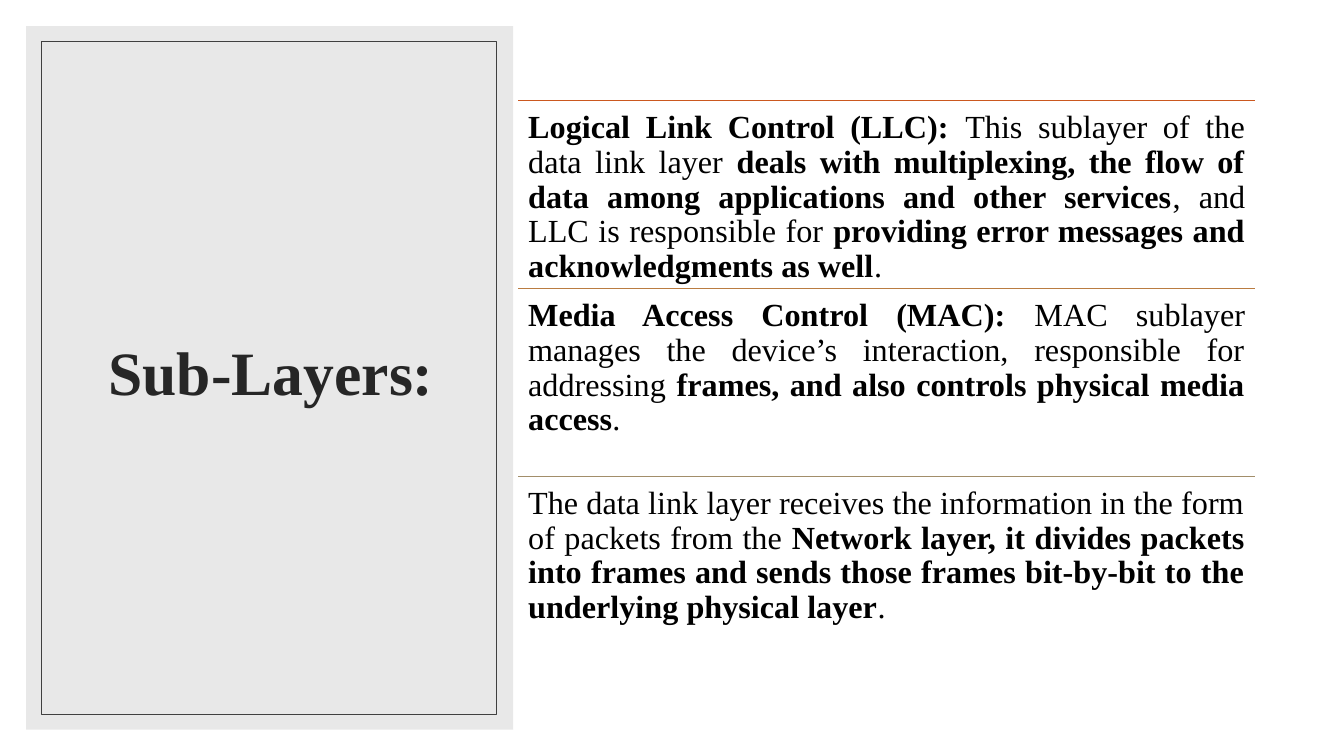
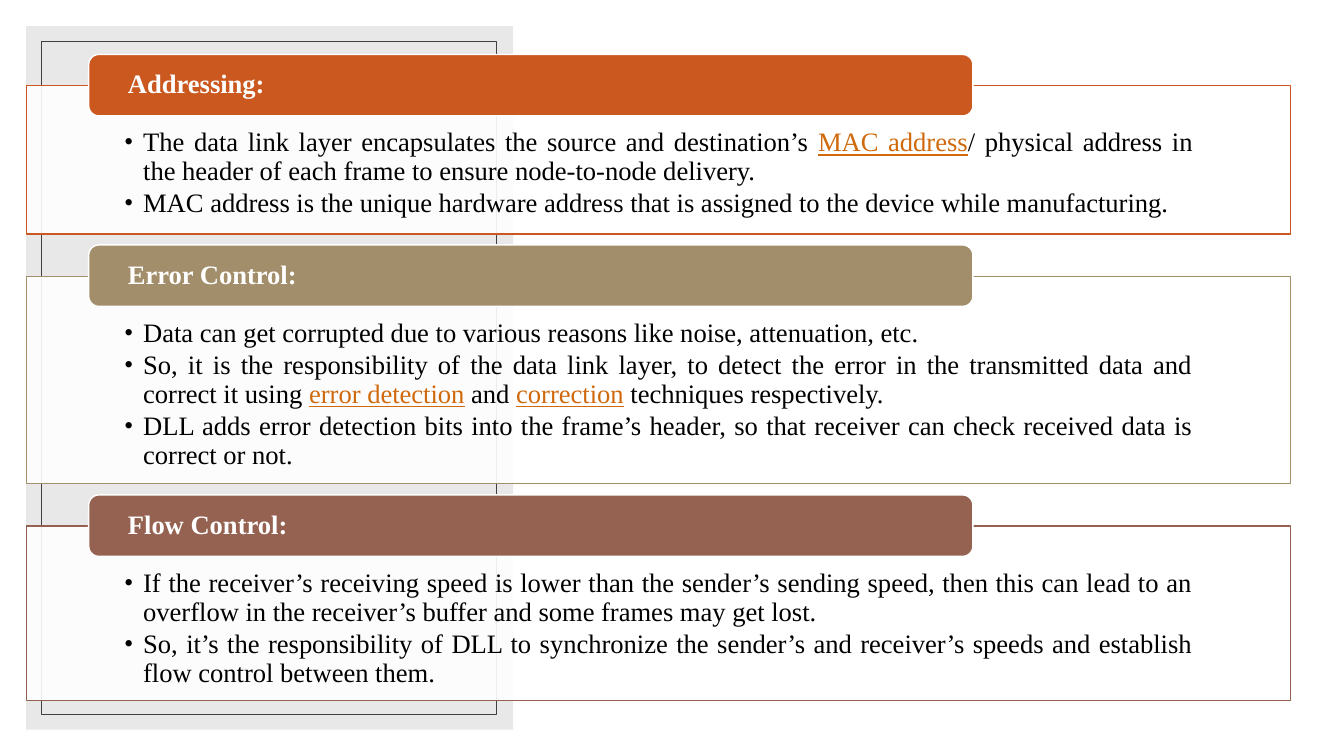
import dataclasses

import lxml.etree
import pptx
import pptx.dml.color
import pptx.enum.shapes
import pptx.enum.text
import pptx.oxml.ns
import pptx.util

Inches = pptx.util.Inches
Pt = pptx.util.Pt
qn = pptx.oxml.ns.qn
Align = pptx.enum.text.PP_ALIGN
Anchor = pptx.enum.text.MSO_ANCHOR
Shape = pptx.enum.shapes.MSO_SHAPE
TITLE_ONLY = 5
COMPARISON = 4


@dataclasses.dataclass(frozen=True)
class Theme:
    font: str = "Times New Roman"
    white: str = "FFFFFF"
    ink: str = "000000"
    title: str = "262626"
    panel: str = "D9D9D9"
    frame: str = "404040"
    link: str = "D0690C"
    orange: str = "CB581F"
    copper: str = "BA7C41"
    sand: str = "A28E6A"
    brown: str = "956251"
    title_size: float = 44
    statement_size: float = 23
    list_size: float = 19


def color(value):
    return pptx.dml.color.RGBColor.from_string(value)


class Deck:
    def __init__(self, theme):
        self.theme = theme
        self.presentation = pptx.Presentation()
        self.presentation.slide_width = Inches(13.33)
        self.presentation.slide_height = Inches(7.5)
        self.page = None

    def add_page(self, layout):
        layouts = self.presentation.slide_layouts
        self.page = self.presentation.slides.add_slide(layouts[layout])
        self.shape(Shape.RECTANGLE, (0.26, 0.26, 4.83, 6.98), fill=self.theme.panel, alpha=60)
        self.shape(Shape.RECTANGLE, (0.41, 0.41, 4.51, 6.68), line=self.theme.frame, width=0.5)

    def paint(self, shape, fill=None, alpha=100, line=None, width=1):
        if fill:
            shape.fill.solid()
            shape.fill.fore_color.rgb = color(fill)
            if alpha < 100:
                tint = shape.element.spPr.find(qn("a:solidFill"))[0]
                lxml.etree.SubElement(tint, qn("a:alpha"), val=str(alpha * 1000))
        else:
            shape.fill.background()
        if line:
            shape.line.color.rgb = color(line)
            shape.line.width = Pt(width)
        else:
            shape.line.fill.background()

    def shape(self, kind, area, **look):
        shape = self.page.shapes.add_shape(kind, *map(Inches, area))
        shape.shadow.inherit = False
        self.paint(shape, **look)
        return shape

    def rule(self, left, top, length, line):
        rule = self.page.shapes.add_connector(
            pptx.enum.shapes.MSO_CONNECTOR.STRAIGHT,
            Inches(left), Inches(top), Inches(left + length), Inches(top))
        rule.line.color.rgb = color(line)
        rule.line.width = Pt(1)
        lxml.etree.SubElement(rule.element.spPr, qn("a:effectLst"))

    def place(self, holder, area):
        for name, value in zip(("left", "top", "width", "height"), area):
            setattr(holder, name, Inches(value))
        holder.element.getparent().append(holder.element)
        return holder

    def set_text(self, box, texts, base, accent=None, align=Align.JUSTIFY,
                 anchor=Anchor.TOP, margins=(0.1, 0.1, 0.1, 0.1), bullet=False, after=0):
        frame = box.text_frame
        sides = ("margin_left", "margin_top", "margin_right", "margin_bottom")
        settings = {"word_wrap": True, "vertical_anchor": anchor,
                    "auto_size": pptx.enum.text.MSO_AUTO_SIZE.NONE,
                    **dict(zip(sides, map(Inches, margins)))}
        for name, value in settings.items():
            setattr(frame, name, value)
        for index, text in enumerate(texts):
            para = frame.add_paragraph() if index else frame.paragraphs[0]
            if bullet:
                self.bullet(para)
            layout = {"alignment": align, "line_spacing": 0.9,
                      "space_before": Pt(0), "space_after": Pt(after)}
            for name, value in layout.items():
                setattr(para, name, value)
            for part, words in enumerate(text.split("|")):
                if words:
                    self.span(para, words, {**base, **(accent or {})} if part % 2 else base)

    def bullet(self, para):
        properties = para._p.get_or_add_pPr()
        properties.set("marL", str(Inches(0.19)))
        properties.set("indent", str(-Inches(0.19)))
        lxml.etree.SubElement(properties, qn("a:buFont"), typeface=self.theme.font)
        lxml.etree.SubElement(properties, qn("a:buChar"), char="•")

    def span(self, para, words, style):
        span = para.add_run()
        span.text = words
        settings = {"name": self.theme.font, "bold": False, **style}
        span.font.color.rgb = color(settings.pop("color"))
        settings["size"] = Pt(settings["size"])
        for name, value in settings.items():
            setattr(span.font, name, value)

    def title(self, text):
        holder = self.place(self.page.shapes.title, (0.63, 0.61, 4.12, 6.24))
        style = {"size": self.theme.title_size, "color": self.theme.title, "bold": True}
        self.set_text(holder, [text], style, align=Align.CENTER, anchor=Anchor.MIDDLE)

    def statement(self, area, text, line):
        left, top, width, height = area
        self.rule(left, top, width, line)
        box = self.page.shapes.add_textbox(*map(Inches, area))
        style = {"size": self.theme.statement_size, "color": self.theme.ink}
        self.set_text(box, [text], style, {"bold": True})

    def card(self, holder, top, height, heading, items, tone):
        theme = self.theme
        self.place(holder, (0.26, top, 12.54, height))
        self.paint(holder, fill=theme.white, alpha=90, line=tone)
        self.set_text(holder, items, {"size": theme.list_size, "color": theme.ink},
                      {"color": theme.link, "underline": True},
                      margins=(0.97, 0.43, 0.97, 0.15), bullet=True, after=2.5)
        tab = self.shape(Shape.ROUNDED_RECTANGLE, (0.88, top - 0.31, 8.77, 0.61),
                         fill=tone, line=theme.white)
        style = {"size": theme.list_size, "color": theme.white, "bold": True}
        self.set_text(tab, [heading], style, anchor=Anchor.MIDDLE, margins=(0.36, 0, 0.36, 0))

    def remove_empty_placeholders(self):
        for holder in list(self.page.placeholders):
            if not holder.text_frame.text:
                holder.element.getparent().remove(holder.element)


def add_sublayers(deck):
    theme = deck.theme
    deck.add_page(TITLE_ONLY)
    deck.title("Sub-Layers:")
    statements = [
        ("|Logical Link Control (LLC): |This sublayer of the data link layer |deals with "
         "multiplexing, the flow of data among applications and other services|, and LLC is "
         "responsible for |providing error messages and acknowledgments as well|.", theme.orange),
        ("|Media Access Control (MAC): |MAC sublayer manages the device’s interaction, "
         "responsible for addressing |frames, and also controls physical media access|.",
         theme.copper),
        ("The data link layer receives the information in the form of packets from the "
         "|Network layer, it divides packets into frames and sends those frames bit-by-bit "
         "to the underlying physical layer|.", theme.sand),
    ]
    top, bottom = 1, 6.59
    height = (bottom - top) / len(statements)
    for row, (text, line) in enumerate(statements):
        deck.statement((5.14, top + row * height, 7.31, height), text, line)


def add_functions(deck):
    theme = deck.theme
    deck.add_page(COMPARISON)
    cards = [
        ("Addressing:", 1.47, theme.orange, [
            "The data link layer encapsulates the source and destination’s |MAC address|/ "
            "physical address in the header of each frame to ensure node-to-node delivery.",
            "MAC address is the unique hardware address that is assigned to the device "
            "while manufacturing."]),
        ("Error Control:", 2.06, theme.sand, [
            "Data can get corrupted due to various reasons like noise, attenuation, etc.",
            "So, it is the responsibility of the data link layer, to detect the error in the "
            "transmitted data and correct it using |error detection| and |correction| "
            "techniques respectively.",
            "DLL adds error detection bits into the frame’s header, so that receiver can "
            "check received data is correct or not."]),
        ("Flow Control:", 1.73, theme.brown, [
            "If the receiver’s receiving speed is lower than the sender’s sending speed, then "
            "this can lead to an overflow in the receiver’s buffer and some frames may get lost.",
            "So, it’s the responsibility of DLL to synchronize the sender’s and receiver’s "
            "speeds and establish flow control between them."]),
    ]
    holders = list(deck.page.placeholders)[1:]
    top, gap = 0.85, 0.42
    for holder, (heading, height, tone, items) in zip(holders, cards):
        deck.card(holder, top, height, heading, items, tone)
        top += height + gap
    deck.remove_empty_placeholders()


def main():
    deck = Deck(Theme())
    add_sublayers(deck)
    add_functions(deck)
    deck.presentation.save("out.pptx")


if __name__ == "__main__":
    main()
